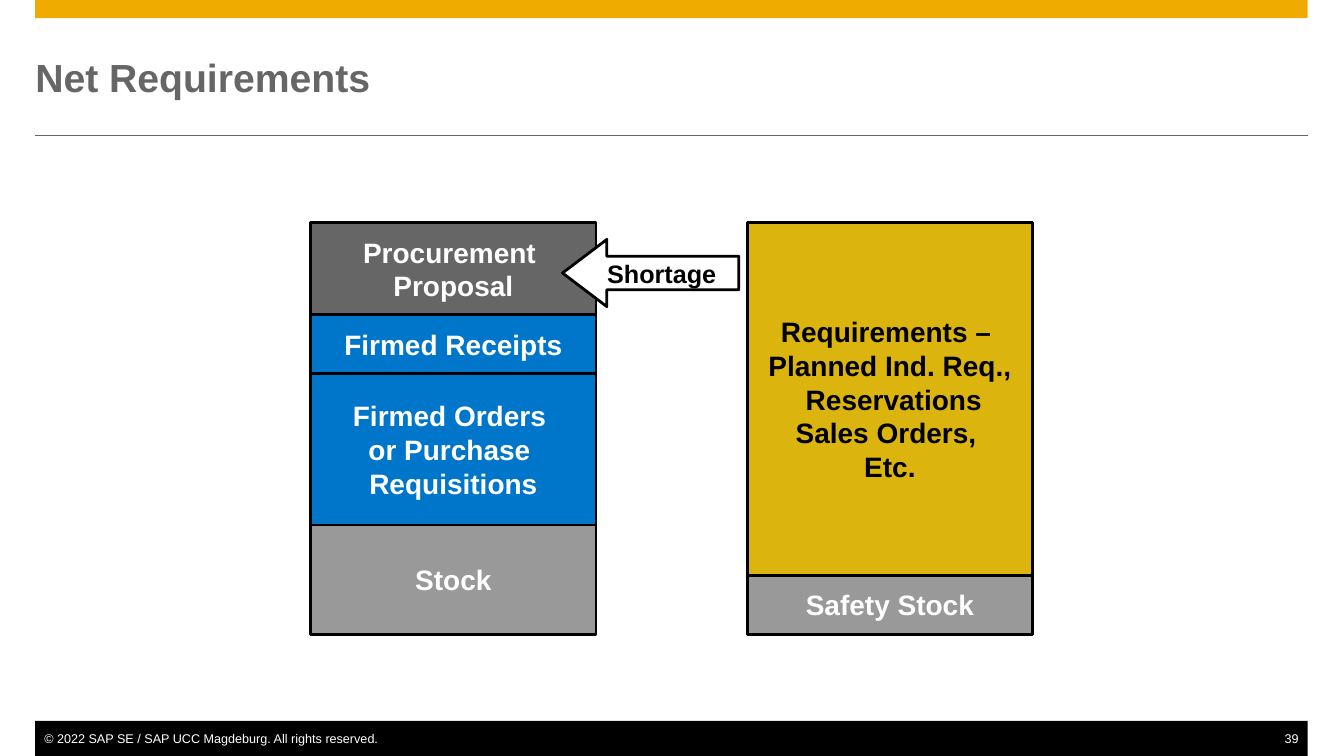
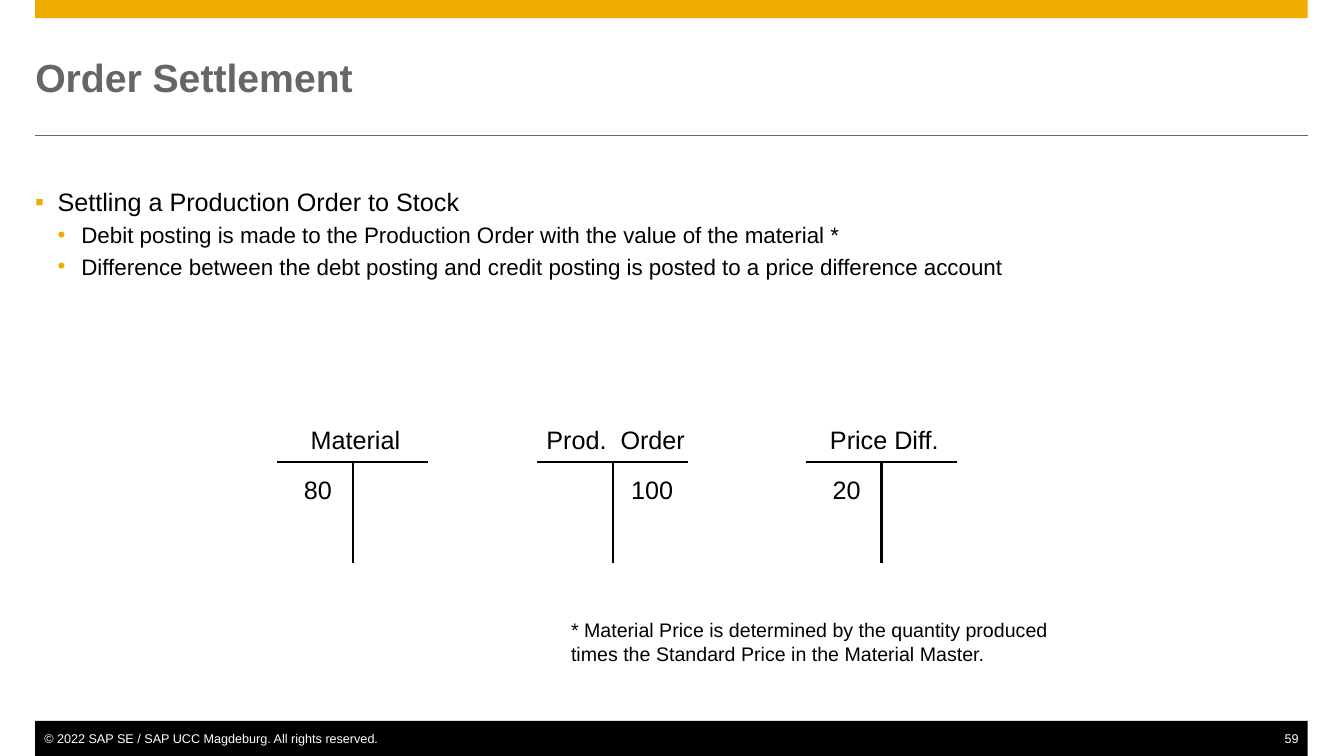
from dataclasses import dataclass

from lxml import etree
from pptx import Presentation
from pptx.dml.color import RGBColor
from pptx.enum.shapes import MSO_CONNECTOR as Conn, MSO_SHAPE as Shape
from pptx.enum.text import MSO_ANCHOR as Anchor, MSO_AUTO_SIZE as AutoSize, PP_ALIGN as Align
from pptx.oxml.ns import qn
from pptx.util import Pt


@dataclass(frozen=True)
class Theme:
    font: str = "Arial"
    # Colours
    gold: str = "F0AB00"
    mustard: str = "DBB40D"
    blue: str = "0076CB"
    dark: str = "666666"
    grey: str = "999999"
    black: str = "000000"
    white: str = "FFFFFF"
    # Type sizes
    title: int = 28
    block: int = 20
    body: int = 18
    sub: int = 16
    note: int = 14
    footer: int = 9


T = Theme()
SLIDE_W, SLIDE_H = 960.5, 540
LEFT, WIDTH = 25.2, 909.4
RIGHT = LEFT + WIDTH
INSETS = (7.2, 3.6, 7.2, 3.6)
COPYRIGHT = "© 2022 SAP SE / SAP UCC Magdeburg. All rights reserved."


# Text
def write(sp, *lines, size=T.body, color=T.black, bold=False, align=Align.LEFT,
          anchor=Anchor.TOP, insets=INSETS, wrap=True):
    """Fill a shape with one paragraph per line and return its paragraphs."""
    tf = sp.text_frame
    tf.auto_size = AutoSize.NONE
    tf.word_wrap = wrap
    tf.vertical_anchor = anchor
    tf.margin_left, tf.margin_top, tf.margin_right, tf.margin_bottom = map(Pt, insets)
    for i, line in enumerate(lines):
        p = tf.add_paragraph() if i else tf.paragraphs[0]
        p.alignment = align
        r = p.add_run()
        r.text = line
        r.font.name, r.font.size, r.font.bold = T.font, Pt(size), bold
        r.font.color.rgb = RGBColor.from_string(color)
    return tf.paragraphs


def add_text(s, x, y, w, h, *lines, **fmt):
    return write(s.shapes.add_textbox(Pt(x), Pt(y), Pt(w), Pt(h)), *lines, **fmt)


def add_bullet(p, char, left, hang):
    pPr = p._p.get_or_add_pPr()
    pPr.set("marL", str(Pt(left)))
    pPr.set("indent", str(-Pt(hang)))
    clr = etree.SubElement(pPr, qn("a:buClr"))
    etree.SubElement(clr, qn("a:srgbClr"), val=T.gold)
    etree.SubElement(pPr, qn("a:buFont"), typeface=T.font)
    etree.SubElement(pPr, qn("a:buChar"), char=char)


# Shapes and lines
def add_box(s, x, y, w, h, fill, kind=Shape.RECTANGLE, line=None):
    sp = s.shapes.add_shape(kind, Pt(x), Pt(y), Pt(w), Pt(h))
    sp.shadow.inherit = False
    sp.fill.solid()
    sp.fill.fore_color.rgb = RGBColor.from_string(fill)
    if line:
        sp.line.color.rgb = RGBColor.from_string(T.black)
        sp.line.width = Pt(line)
    else:
        sp.line.fill.background()
    return sp


def add_line(s, x1, y1, x2, y2, color=T.black, width=1.5):
    c = s.shapes.add_connector(Conn.STRAIGHT, Pt(x1), Pt(y1), Pt(x2), Pt(y2))
    c.line.color.rgb = RGBColor.from_string(color)
    c.line.width = Pt(width)
    etree.SubElement(c._element.spPr, qn("a:effectLst"))


# Frame shared by all slides
def add_slide(prs, title, number):
    s = prs.slides.add_slide(prs.slide_layouts[5])
    add_box(s, LEFT, 0, WIDTH, 13, T.gold)
    add_line(s, LEFT, 97, RIGHT, 97, T.dark, 0.5)
    bar = add_box(s, LEFT, 515, WIDTH, 25, T.black)
    footer = dict(size=T.footer, color=T.white, anchor=Anchor.MIDDLE)
    write(bar, COPYRIGHT, insets=(6.5, 0, 0, 0), **footer)
    add_text(s, RIGHT - 40, 515, 40, 25, number, align=Align.RIGHT,
             insets=(0, 0, 6.5, 0), **footer)
    sp = s.shapes.title
    sp.left, sp.top, sp.width, sp.height = Pt(LEFT), Pt(25.2), Pt(WIDTH), Pt(60)
    write(sp, title, size=T.title, color=T.dark, bold=True,
          anchor=Anchor.MIDDLE, insets=(0, 0, 0, 0))
    return s


# Net requirements
def add_label_box(s, x, y, w, h, fill, *lines, kind=Shape.RECTANGLE,
                  color=T.white, size=T.block):
    sp = add_box(s, x, y, w, h, fill, kind, line=2)
    write(sp, *lines, size=size, color=color, bold=True, align=Align.CENTER,
          anchor=Anchor.MIDDLE, wrap=False)
    return sp


def add_stack(s, x, blocks, top=159, width=204):
    """Stack blocks of (height, fill, text colour, lines) downwards."""
    for height, fill, color, lines in blocks:
        add_label_box(s, x, top, width, height, fill, *lines, color=color)
        top += height


def net_requirements(prs):
    s = add_slide(prs, "Net Requirements", "39")
    add_stack(s, 222, [
        (66, T.dark, T.white, ["Procurement ", "Proposal"]),
        (42, T.blue, T.white, ["Firmed Receipts"]),
        (108, T.blue, T.white, ["Firmed Orders ", "or Purchase ", "Requisitions"]),
        (78, T.grey, T.white, ["Stock"]),
    ])
    add_stack(s, 534, [
        (252, T.mustard, T.black, ["Requirements – ", "Planned Ind. Req.,",
                                   " Reservations", "Sales Orders, ", "Etc."]),
        (42, T.grey, T.white, ["Safety Stock"]),
    ])
    arrow = add_label_box(s, 402, 171, 126, 48, T.white, "Shortage",
                          kind=Shape.LEFT_ARROW, color=T.black, size=T.body)
    arrow.adjustments[0], arrow.adjustments[1] = 0.5, 0.66


# Order settlement
def add_bullets(s, x, y, w, h, head, *subs):
    first, *rest = add_text(s, x, y, w, h, head, *subs, insets=(0, 0, 0, 0))
    add_bullet(first, "▪", 16, 16)
    for p in rest:
        add_bullet(p, "•", 33, 17)
        p.level = 1
        p.space_before = Pt(3.4)
        p.runs[0].font.size = Pt(T.sub)


def add_account(s, x, name, amount, credit=False, y=330, width=108, height=72):
    """Draw a T account with its amount on the debit or the credit side."""
    mid = x + width / 2
    add_line(s, x, y, x + width, y)
    add_line(s, mid, y, mid, y + height)
    add_text(s, mid - 61, y - 30.5, 126, 29, name, align=Align.CENTER)
    add_text(s, mid + 6 if credit else x + 12, y + 5.5, 54, 29, amount)


def order_settlement(prs):
    s = add_slide(prs, "Order Settlement", "59")
    add_bullets(
        s, LEFT, 133, WIDTH, 345,
        "Settling a Production Order to Stock",
        "Debit posting is made to the Production Order with the value of the material *",
        "Difference between the debt posting and credit posting is posted to a price "
        "difference account")
    add_account(s, 198, "Material", "80")
    add_account(s, 384, "Prod.  Order", "100", credit=True)
    add_account(s, 576, "Price Diff.", "20")
    add_text(s, 401, 438, 361, 41,
             "* Material Price is determined by the quantity produced times the "
             "Standard Price in the Material Master.", size=T.note)


def main():
    prs = Presentation()
    prs.slide_width, prs.slide_height = Pt(SLIDE_W), Pt(SLIDE_H)
    net_requirements(prs)
    order_settlement(prs)
    prs.save("out.pptx")


if __name__ == "__main__":
    main()
